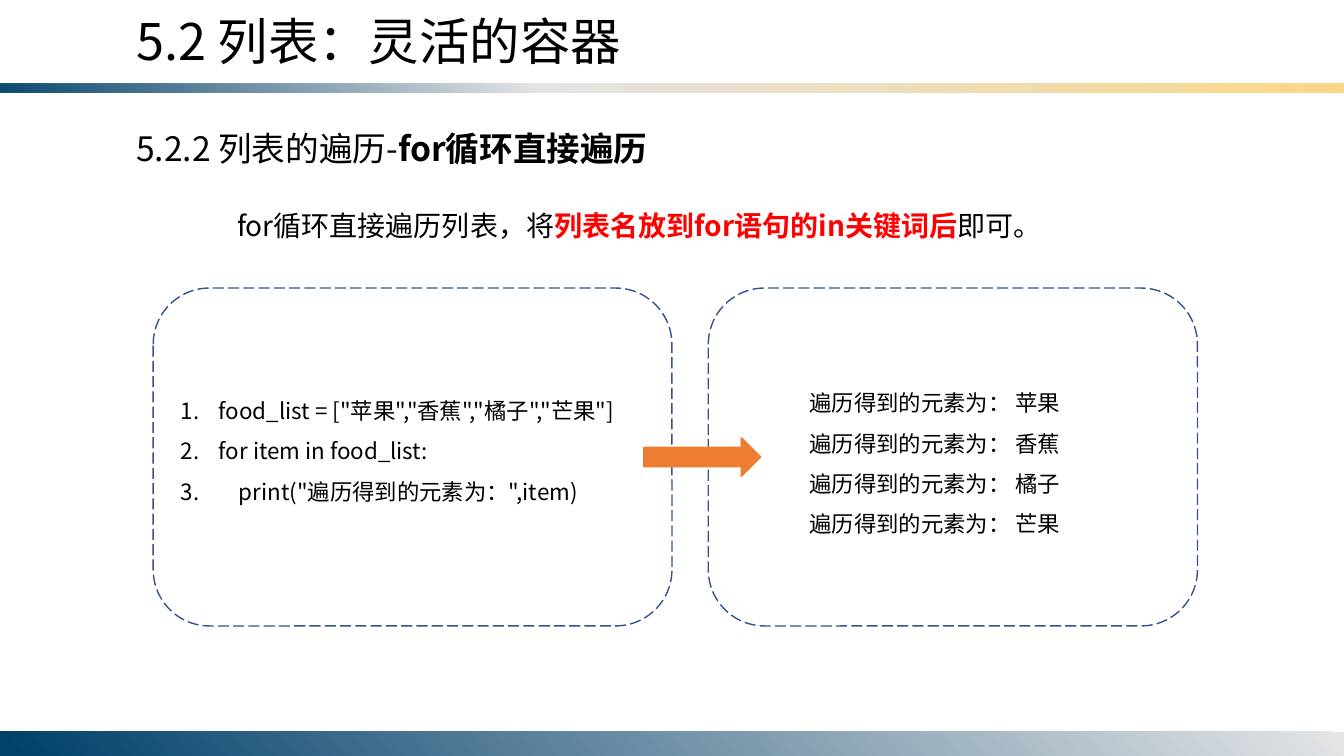
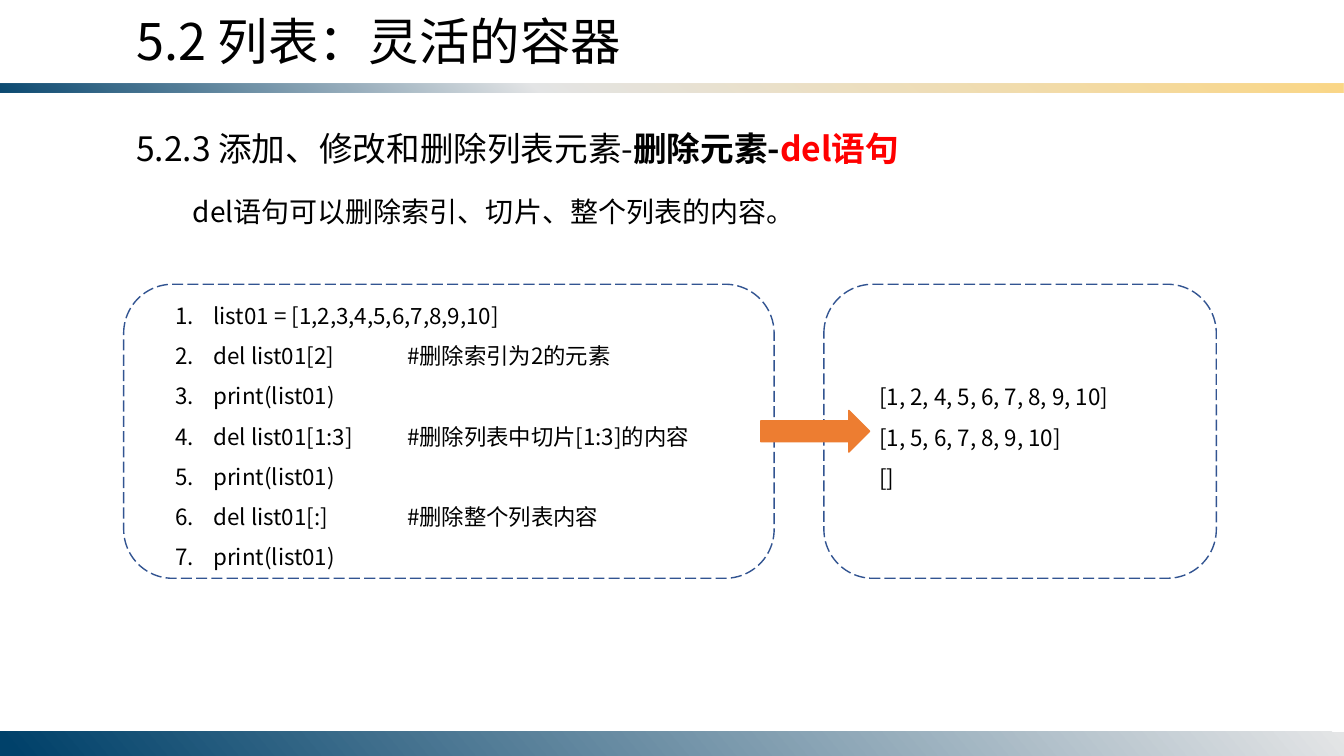
import pptx
import pptx.dml.color
import pptx.enum.dml
import pptx.enum.shapes
import pptx.enum.text
import pptx.oxml
import pptx.oxml.ns
import pptx.util
from lxml import etree


class Theme:
    font = "Noto Sans CJK SC"
    ink = "000000"
    red = "FF0000"
    edge = "325491"
    arrow = "ED7D31"
    navy = "00416A"
    mist = "E4E5E6"
    gold = "FBD786"
    title = 36
    head = 24
    lead = 20
    code = 16
    loose = 1.5


rgb = pptx.dml.color.RGBColor.from_string
qn = pptx.oxml.ns.qn
kinds = pptx.enum.shapes.MSO_SHAPE

deck = pptx.Presentation()
deck.slide_width = pptx.util.Inches(13.333)
deck.slide_height = pptx.util.Inches(7.5)


def share(left, top, wide, high):
    w, h = deck.slide_width, deck.slide_height
    return [int(part * side / 100) for part, side in zip((left, top, wide, high), (w, h, w, h))]


def write(frame, lines, size, space=1.0, hang=None, first=0, tab=None):
    frame.word_wrap = True
    frame.auto_size = pptx.enum.text.MSO_AUTO_SIZE.NONE
    frame.vertical_anchor = pptx.enum.text.MSO_ANCHOR.TOP
    for row, line in enumerate(lines):
        para = frame.paragraphs[0] if row == 0 else frame.add_paragraph()
        props = para._p.get_or_add_pPr()
        if hang:
            props.set("marL", str(pptx.util.Inches(hang)))
            etree.SubElement(props, qn("a:buFont"), typeface="+mj-lt")
            etree.SubElement(props, qn("a:buAutoNum"), type="arabicPeriod")
        if tab:
            stops = etree.SubElement(props, qn("a:tabLst"))
            etree.SubElement(stops, qn("a:tab"), pos=str(pptx.util.Inches(tab)), algn="l")
        props.set("indent", str(pptx.util.Inches(-hang if hang else first)))
        para.alignment = pptx.enum.text.PP_ALIGN.LEFT
        para.line_spacing = space
        for words, bold, tint in line:
            run = para.add_run()
            run.text = words
            run.font.size = pptx.util.Pt(size)
            run.font.bold = bold
            run.font.color.rgb = rgb(tint)
            run.font.name = Theme.font
            etree.SubElement(run._r.get_or_add_rPr(), qn("a:ea"), typeface=Theme.font)


ink, red = Theme.ink, Theme.red
pages = [
    dict(
        head=[("5.2.2 列表的遍历-", False, ink), ("for循环直接遍历", True, ink)],
        lead=[
            ("for循环直接遍历列表，将", False, ink),
            ("列表名放到for语句的in关键词后", True, red),
            ("即可。", False, ink),
        ],
        code=[
            'food_list = ["苹果","香蕉","橘子","芒果"]',
            "for item in food_list:",
            '    print("遍历得到的元素为：",item)',
        ],
        out=["遍历得到的元素为： " + food for food in ("苹果", "香蕉", "橘子", "芒果")],
        tab=None,
        spot=(12.7, 24.7, 79.1, 8),
        left=(12.7, 50.1, 36.5, 17.5),
        right=(59.5, 49.1, 22.9, 22.9),
        band=(38.1, 44.7),
        cols=((11.4, 38.6), (52.7, 36.4)),
        arrow=(47.9, 8.7, 5.1),
    ),
    dict(
        head=[
            ("5.2.3 添加、修改和删除列表元素-", False, ink),
            ("删除元素-", True, ink),
            ("del语句", True, red),
        ],
        lead=[("del语句可以删除索引、切片、整个列表的内容。", False, ink)],
        code=[
            "list01 = [1,2,3,4,5,6,7,8,9,10]",
            "del list01[2]\t#删除索引为2的元素",
            "print(list01)",
            "del list01[1:3]\t#删除列表中切片[1:3]的内容",
            "print(list01)",
            "del list01[:]\t#删除整个列表内容",
            "print(list01)",
        ],
        out=["[1, 2, 4, 5, 6, 7, 8, 9, 10]", "[1, 5, 6, 7, 8, 9, 10]", "[]"],
        tab=2.3,
        spot=(9.4, 22.9, 62.1, 8),
        left=(12.3, 37.5, 45.2, 39.1),
        right=(64.7, 48.3, 22.4, 17.5),
        band=(37.6, 38.9),
        cols=((9.2, 48.4), (61.3, 29.2)),
        arrow=(56.6, 8.1, 5.5),
    ),
]

layout = deck.slide_layouts[5]
slides = [deck.slides.add_slide(layout) for page in pages]

bands = [
    ((0, 11, 100, 1.2), 50, True, [(0, Theme.navy, 95), (40, Theme.mist, 100), (100, Theme.gold, 100)]),
    ((0, 96.8, 100, 3.2), 140, False, [(0, Theme.mist, 100), (99, Theme.navy, 100)]),
]
for place, angle, flip, stops in bands:
    bar = slides[0].shapes.add_shape(kinds.RECTANGLE, *share(*place))
    bar.shadow.inherit = False
    props = bar.element.spPr
    if flip:
        props.find(qn("a:xfrm")).set("flipV", "1")
    bar.fill.gradient()
    grad = props.find(qn("a:gradFill"))
    for part in list(grad):
        grad.remove(part)
    ramp = etree.SubElement(grad, qn("a:gsLst"))
    for pos, tint, solid in stops:
        stop = etree.SubElement(ramp, qn("a:gs"), pos=str(pos * 1000))
        color = etree.SubElement(stop, qn("a:srgbClr"), val=tint)
        if solid < 100:
            etree.SubElement(color, qn("a:alpha"), val=str(solid * 1000))
    etree.SubElement(grad, qn("a:lin"), ang=str(angle * 60000), scaled="0")
    bar.line.fill.background()
    layout.shapes.element.append(bar.element)

for slide, page in zip(slides, pages):
    shapes = slide.shapes
    title = shapes.title
    title.left, title.top, title.width, title.height = share(9.4, 0.7, 45.9, 9.5)
    write(title.text_frame, [[("5.2 列表：灵活的容器", False, ink)]], Theme.title)

    head = shapes.add_textbox(*share(9.4, 16.3, 62, 6.7))
    write(head.text_frame, [page["head"]], Theme.head)
    lead = shapes.add_textbox(*share(*page["spot"]))
    write(lead.text_frame, [page["lead"]], Theme.lead, Theme.loose, first=0.56)

    for key, side, hang, tab in (("code", "left", 0.38, page["tab"]), ("out", "right", None, None)):
        block = shapes.add_textbox(*share(*page[side]))
        lines = [[(line, False, ink)] for line in page[key]]
        write(block.text_frame, lines, Theme.code, Theme.loose, hang=hang, tab=tab)

    top, high = page["band"]
    for left, wide in page["cols"]:
        panel = shapes.add_shape(kinds.ROUNDED_RECTANGLE, *share(left, top, wide, high))
        panel.shadow.inherit = False
        panel.fill.background()
        panel.line.color.rgb = rgb(Theme.edge)
        panel.line.width = pptx.util.Pt(1)
        panel.line.dash_style = pptx.enum.dml.MSO_LINE.LONG_DASH

    left, wide, tall = page["arrow"]
    arrow = shapes.add_shape(kinds.RIGHT_ARROW, *share(left, top + (high - tall) / 2, wide, tall))
    arrow.shadow.inherit = False
    arrow.fill.solid()
    arrow.fill.fore_color.rgb = rgb(Theme.arrow)
    arrow.line.color.rgb = rgb(Theme.arrow)
    arrow.line.width = pptx.util.Pt(1)

deck.save("out.pptx")
